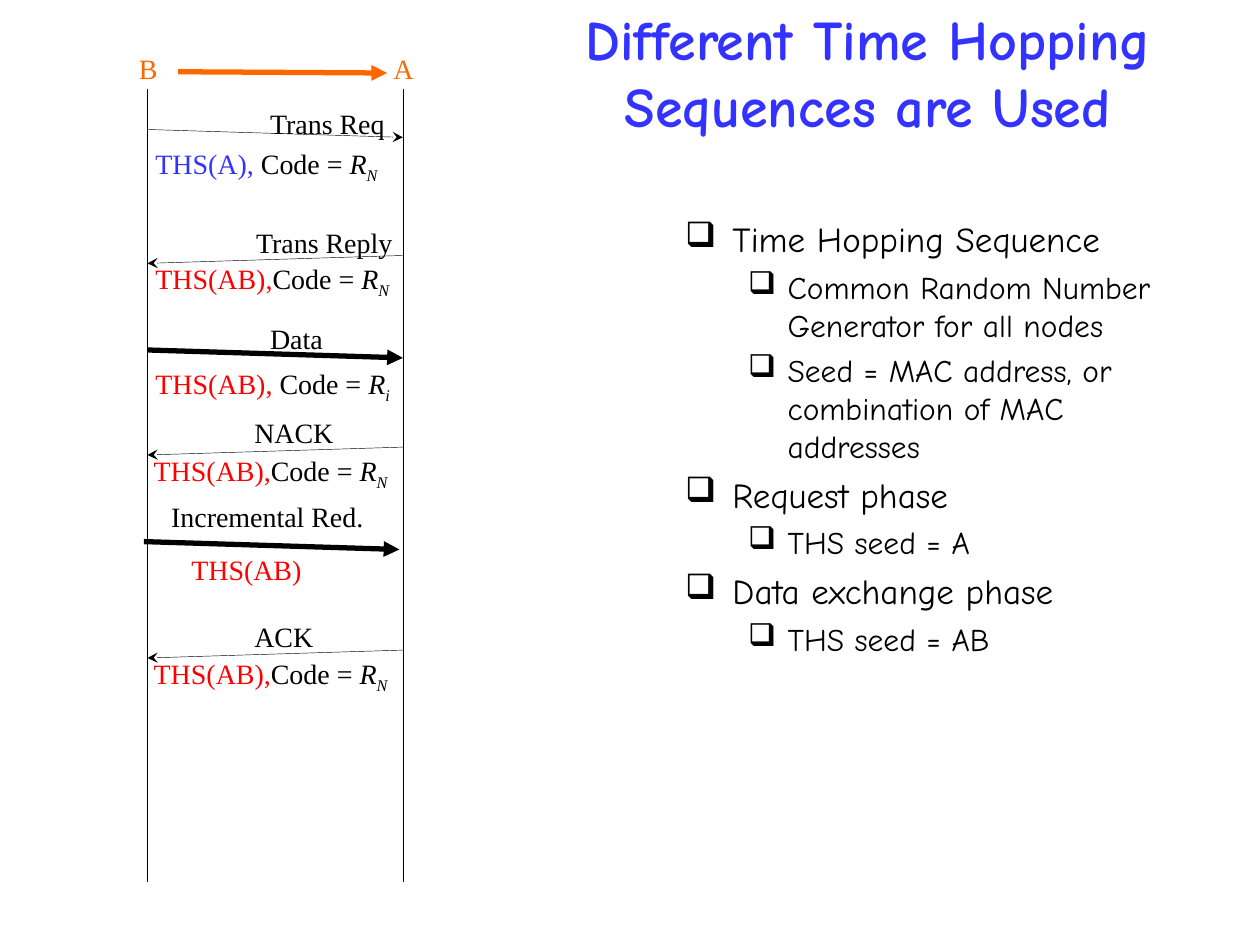
from dataclasses import dataclass

from lxml.etree import SubElement
from pptx import Presentation
from pptx.dml.color import RGBColor
from pptx.enum.shapes import MSO_CONNECTOR
from pptx.enum.text import MSO_ANCHOR, PP_ALIGN
from pptx.oxml.ns import qn
from pptx.util import Pt

BLACK, BLUE, RED, ORANGE = "000000", "3333FF", "FF0000", "FF6600"
HAND_FONT, SERIF_FONT = "Comic Neue", "Times New Roman"
THIN, THICK = 0.25, 3
ARROW_DROP = 4.5


@dataclass
class Message:
    label: str
    label_at: tuple
    arrow_top: float
    hopping: str
    code_at: tuple
    code: str = ""
    subscript: str = ""
    color: str = RED
    reply: bool = False
    weight: float = THIN
    shift: float = 0


MESSAGES = [
    Message("Trans Req", (63, 31.5), 48, "THS(A),", (-2.5, 54), " Code = ", "N", color=BLUE),
    Message("Trans Reply", (55, 99.5), 120, "THS(AB),", (-2.5, 120), "Code = ", "N", reply=True),
    Message("Data", (63, 154), 174, "THS(AB),", (-2.5, 180), " Code = ", "i", weight=THICK),
    Message("NACK", (54, 208), 229.5, "THS(AB),", (-3.5, 229.5), "Code = ", "N", reply=True),
    Message("Incremental Red.", (6.5, 256), 283.5, "THS(AB)", (18, 286),
            weight=THICK, shift=-2),
    Message("ACK", (54, 324.5), 345.5, "THS(AB),", (-3.5, 345.5), "Code = ", "N", reply=True),
]

OUTLINE = [
    (0, "Time Hopping Sequence"),
    (1, "Common Random Number Generator for all nodes"),
    (1, "Seed = MAC address, or combination of MAC addresses"),
    (0, "Request phase"),
    (1, "THS seed = A"),
    (0, "Data exchange phase"),
    (1, "THS seed = AB"),
]
LEVELS = [
    {"size": 20, "margin": 27, "indent": -27, "space": 5},
    {"size": 18, "margin": 58.5, "indent": -22.5, "space": 4.5},
]


def rgb(color):
    return RGBColor.from_string(color)


def add_run(paragraph, text, size, color, font=SERIF_FONT, bold=False, italic=False):
    run = paragraph.add_run()
    run.text = text
    run.font.size = Pt(size)
    run.font.name = font
    run.font.bold = bold
    run.font.italic = italic
    run.font.color.rgb = rgb(color)
    return run


def add_text(slide, left, top, width=165, height=27):
    shape = slide.shapes.add_textbox(Pt(left), Pt(top), Pt(width), Pt(height))
    shape.text_frame.word_wrap = True
    return shape.text_frame.paragraphs[0]


def add_line(slide, start, end, color=BLACK, weight=THIN, head=None):
    connector = slide.shapes.add_connector(
        MSO_CONNECTOR.STRAIGHT, *(Pt(value) for value in (*start, *end)))
    connector.line.color.rgb = rgb(color)
    connector.line.width = Pt(weight)
    if head:
        SubElement(connector.line._get_or_add_ln(), qn("a:tailEnd"), type=head)
    SubElement(connector._element.spPr, qn("a:effectLst"))


def place_title(slide, left, top, width, height):
    title = slide.shapes.title
    title.left, title.top, title.width, title.height = (
        Pt(value) for value in (left, top, width, height))
    frame = title.text_frame
    frame.word_wrap = True
    frame.vertical_anchor = MSO_ANCHOR.MIDDLE
    paragraph = frame.paragraphs[0]
    paragraph.alignment = PP_ALIGN.CENTER
    add_run(paragraph, "Different Time Hopping Sequences are Used", 32, BLUE, HAND_FONT, bold=True)


def add_message(slide, message, left, top, width):
    label_left, label_top = message.label_at
    label = add_text(slide, left + label_left, top + label_top)
    add_run(label, message.label, 16, BLACK)

    start, end = left + message.shift, left + width + message.shift
    if message.reply:
        start, end = end, start
    arrow_top = top + message.arrow_top
    add_line(slide, (start, arrow_top), (end, arrow_top + ARROW_DROP), weight=message.weight,
             head="triangle" if message.weight == THICK else "stealth")

    code_left, code_top = message.code_at
    code = add_text(slide, left + code_left, top + code_top)
    add_run(code, message.hopping, 16, message.color)
    if message.code:
        add_run(code, message.code, 16, BLACK)
        add_run(code, "R", 16, BLACK, italic=True)
        subscript = add_run(code, message.subscript, 16, BLACK, italic=True)
        subscript._r.get_or_add_rPr().set("baseline", "-25000")


def add_sequence_diagram(slide, left, top, width, height):
    right = left + width
    for name, name_left in (("B", left - 12), ("A", right - 12.5)):
        add_run(add_text(slide, name_left, top, 26), name, 16, ORANGE)
    add_line(slide, (left + 17.5, top + 15), (right - 9, top + 15.75), ORANGE, THICK, "triangle")
    for lifeline in (left, right):
        add_line(slide, (lifeline, top + height), (lifeline, top + 25))
    for message in MESSAGES:
        add_message(slide, message, left, top, width)


def add_outline(slide, left, top, width, height):
    paragraph = add_text(slide, left, top, width, height)
    frame = paragraph._parent
    for index, (level, text) in enumerate(OUTLINE):
        style = LEVELS[level]
        if index:
            paragraph = frame.add_paragraph()
            paragraph.space_before = Pt(style["space"])
        paragraph.level = level
        properties = paragraph._p.get_or_add_pPr()
        properties.set("marL", str(Pt(style["margin"])))
        properties.set("indent", str(Pt(style["indent"])))
        bullet_color = SubElement(properties, qn("a:buClr"))
        SubElement(bullet_color, qn("a:srgbClr"), val=BLACK)
        SubElement(properties, qn("a:buChar"), char="❑")
        add_run(paragraph, text, style["size"], BLACK, HAND_FONT)


def main():
    presentation = Presentation()
    presentation.slide_width, presentation.slide_height = Pt(720), Pt(540)
    slide = presentation.slides.add_slide(presentation.slide_layouts[5])
    place_title(slide, 291.5, 0, 409, 82)
    add_outline(slide, 384.5, 121, 304.5, 380)
    add_sequence_diagram(slide, 84.25, 26, 146, 478)
    presentation.save("out.pptx")


if __name__ == "__main__":
    main()
